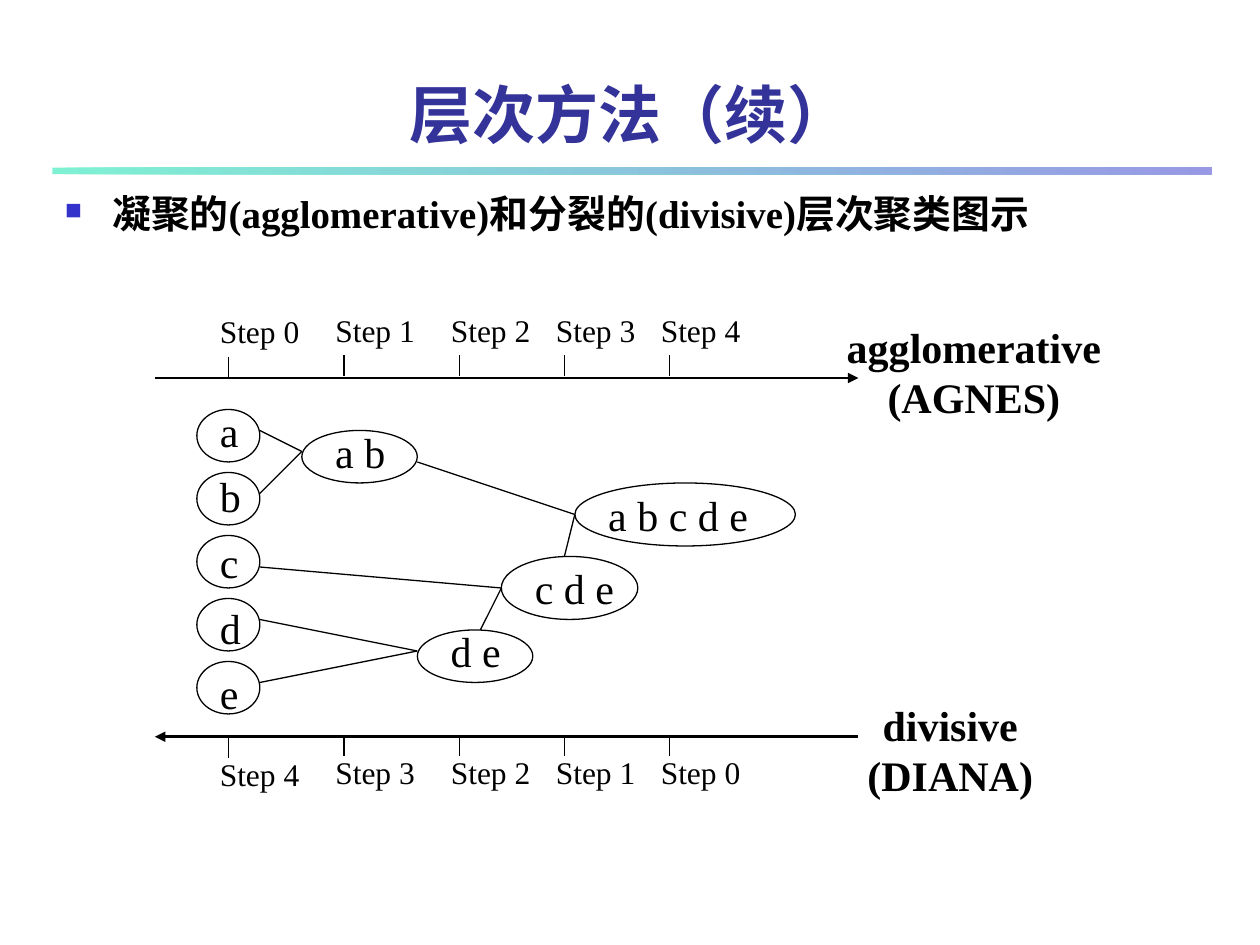
from dataclasses import dataclass

from pptx import Presentation
from pptx.dml.color import RGBColor as RGB
from pptx.enum.shapes import MSO_CONNECTOR as CONN, MSO_SHAPE as SHAPE
from pptx.enum.text import MSO_ANCHOR as ANCHOR, PP_ALIGN as ALIGN
from pptx.oxml.ns import qn
from pptx.util import Pt
from lxml.etree import SubElement


@dataclass(frozen=True)
class Theme:
    """Colours, font and type sizes of the slide."""
    font: str = "Times New Roman"
    ink: RGB = RGB(0x00, 0x00, 0x00)
    title: RGB = RGB(0x33, 0x33, 0x99)
    bar_start: RGB = RGB(0x00, 0xE4, 0xA8)
    bar_end: RGB = RGB(0x33, 0x33, 0xCC)
    bullet: str = "3333CC"
    title_size: float = 36
    body_size: float = 22.2
    node_size: float = 24
    step_size: float = 18
    thin: float = 0.75
    thick: float = 1.5


T = Theme()
TICKS = (42, 108, 174, 234, 294)
LEAVES = "abcde"
MERGES = (
    ("a b", (84, 72, 66, 30), -6, (84, 84), ((60, 72), (60, 108))),
    ("d e", (150, 186, 66, 30), -6, (150, 198), ((60, 180), (60, 216))),
    ("c d e", (198, 144, 78, 36), 0, (198, 162), ((60, 150), (186, 186))),
    ("a b c d e", (240, 102, 126, 36), 0, (240, 120), ((150, 90), (234, 144))),
)


def style(p, size, color=T.ink, bold=False):
    """Format all runs of a paragraph."""
    for r in p.runs:
        r.font.name, r.font.size, r.font.bold = T.font, Pt(size), bold
        r.font.color.rgb = color


def add_text(s, text, x, y, w, h, size, bold=False, align=None, wrap=False):
    """Add a text box and return its text frame."""
    tf = s.shapes.add_textbox(Pt(x), Pt(y), Pt(w), Pt(h)).text_frame
    tf.word_wrap = wrap
    tf.text = text
    for p in tf.paragraphs:
        p.alignment = align
        style(p, size, bold=bold)
    return tf


def add_line(s, x1, y1, x2, y2, width=T.thin, arrow=None):
    """Add a straight line, with an arrowhead if its end is named."""
    c = s.shapes.add_connector(CONN.STRAIGHT, Pt(x1), Pt(y1), Pt(x2), Pt(y2))
    c.line.color.rgb, c.line.width = T.ink, Pt(width)
    if arrow:
        SubElement(c.line._get_or_add_ln(), qn(f"a:{arrow}"), type="triangle")
    SubElement(c._element.spPr, qn("a:effectLst"))


def add_node(s, label, x, y, w, h, dx, dy):
    """Add a cluster ellipse with its label set off by dx and dy."""
    e = s.shapes.add_shape(SHAPE.OVAL, Pt(x), Pt(y), Pt(w), Pt(h))
    e.shadow.inherit = False
    e.fill.background()
    e.line.color.rgb, e.line.width = T.ink, Pt(T.thin)
    add_text(s, label, x + dx, y + dy, w - 2 * dx + 14.4, 36, T.node_size)


def add_title(s, text, x, y, w, h):
    """Place and format the title placeholder."""
    sp = s.shapes.title
    sp.left, sp.top, sp.width, sp.height = Pt(x), Pt(y), Pt(w), Pt(h)
    tf = sp.text_frame
    tf.text = text
    tf.vertical_anchor = ANCHOR.BOTTOM
    tf.paragraphs[0].alignment = ALIGN.CENTER
    style(tf.paragraphs[0], T.title_size, T.title, True)


def add_bar(s, x, y, w, h):
    """Add the half-transparent gradient bar below the title."""
    bar = s.shapes.add_shape(SHAPE.RECTANGLE, Pt(x), Pt(y), Pt(w), Pt(h))
    bar.shadow.inherit = False
    bar.line.fill.background()
    bar.fill.gradient()
    bar.fill.gradient_angle = 0
    for stop, color, pos in zip(bar.fill.gradient_stops, (T.bar_start, T.bar_end), (0, 1)):
        stop.color.rgb, stop.position = color, pos
    for clr in bar._element.spPr.iter(qn("a:srgbClr")):
        SubElement(clr, qn("a:alpha"), val="50000")


def add_bullet(s, text, x, y, w, h):
    """Add the bulleted line above the diagram."""
    p = add_text(s, text, x, y, w, h, T.body_size, bold=True, wrap=True).paragraphs[0]
    p.line_spacing = 0.9
    pPr = p._p.get_or_add_pPr()
    pPr.set("marL", str(Pt(27)))
    pPr.set("indent", str(Pt(-27)))
    SubElement(SubElement(pPr, qn("a:buClr")), qn("a:srgbClr"), val=T.bullet)
    SubElement(pPr, qn("a:buSzPct"), val="60000")
    SubElement(pPr, qn("a:buChar"), char="■")


def add_axis(s, x, y, w, steps, arrow, tick_dy, label_dy):
    """Add a step axis with its ticks and labels."""
    add_line(s, x, y, x + w, y, T.thick, arrow)
    for i, (tick, step) in enumerate(zip(TICKS, steps)):
        drop = y + (i == 0)
        add_line(s, x + tick, drop + tick_dy, x + tick, drop + tick_dy + 12)
        add_text(s, f"Step {step}", x + tick - 12, drop + label_dy, 60, 28.8,
                 T.step_size, wrap=True)


def add_tree(s, x, y):
    """Add the single items, the merged clusters and the lines between them."""
    for i, leaf in enumerate(LEAVES):
        add_node(s, leaf, x + 24, y + 60 + 36 * i, 36, 30, 6, 1.5 * i - 6)
    for label, (nx, ny, w, h), dy, (jx, jy), starts in MERGES:
        add_node(s, label, x + nx, y + ny, w, h, 12, dy)
        for sx, sy in starts:
            add_line(s, x + sx, y + sy, x + jx, y + jy)


def add_diagram(s, x, y, w):
    """Add both axes, their names and the cluster tree."""
    steps = range(len(TICKS))
    add_axis(s, x, y + 42, w, steps, "tailEnd", -13, -42)
    add_axis(s, x, y + 247, w, reversed(steps), "headEnd", -1, 6)
    add_tree(s, x, y)
    for name, dx, dy, width in (("agglomerative\n(AGNES)", -14, 6, 160),
                                ("divisive\n(DIANA)", -2, 222, 109)):
        add_text(s, name, x + w + dx, y + dy, width, 65, T.node_size, True, ALIGN.CENTER)


def main():
    """Build the slide and save it."""
    prs = Presentation()
    prs.slide_width, prs.slide_height = Pt(720), Pt(540)
    s = prs.slides.add_slide(prs.slide_layouts[5])
    add_title(s, "层次方法（续）", 0, 36.7, 720, 53.3)
    add_bar(s, 30, 95.8, 662.4, 3.8)
    add_bullet(s, "凝聚的(agglomerative)和分裂的(divisive)层次聚类图示", 30, 108, 624, 42)
    add_diagram(s, 88.5, 174, 402)
    prs.save("out.pptx")


if __name__ == "__main__":
    main()
